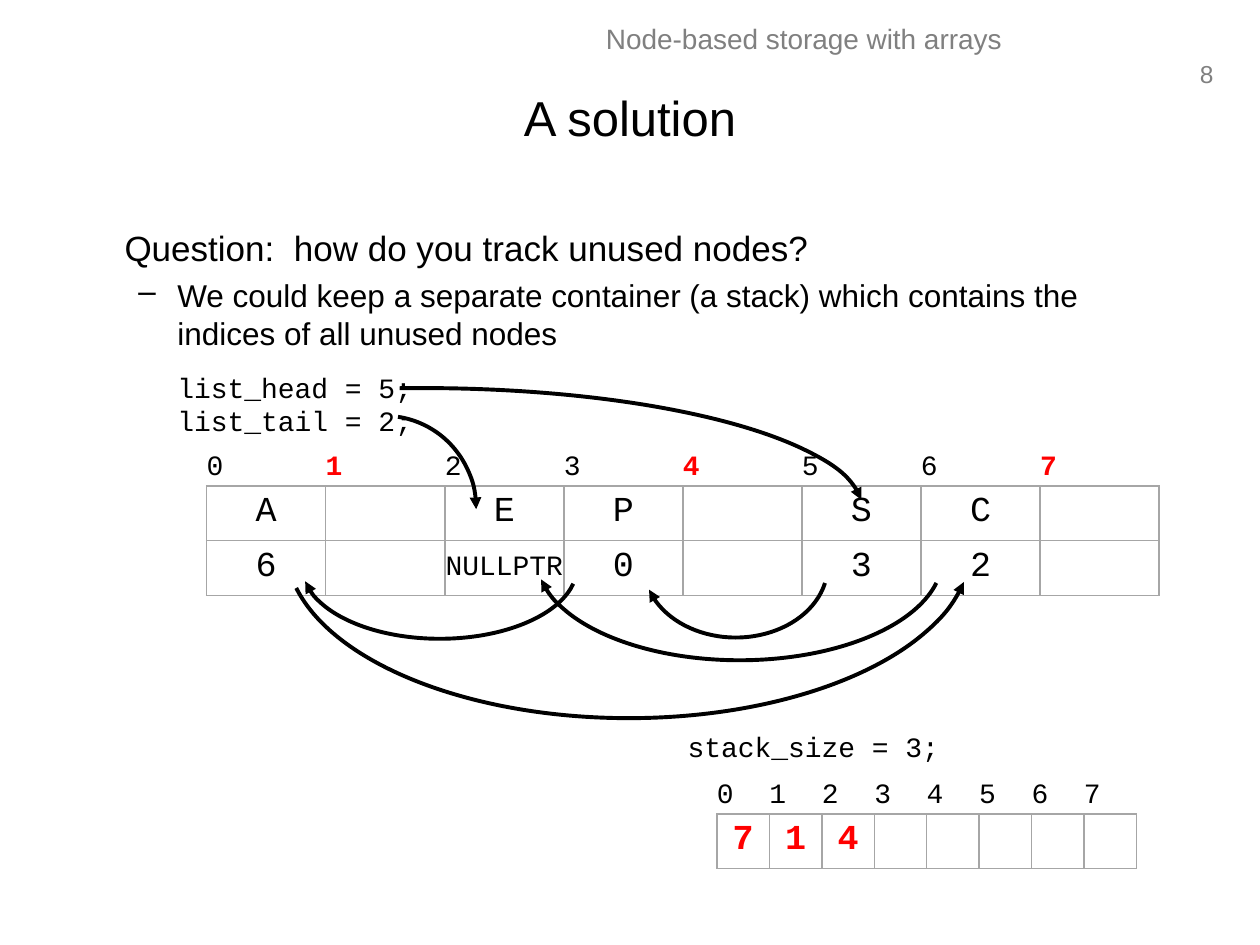
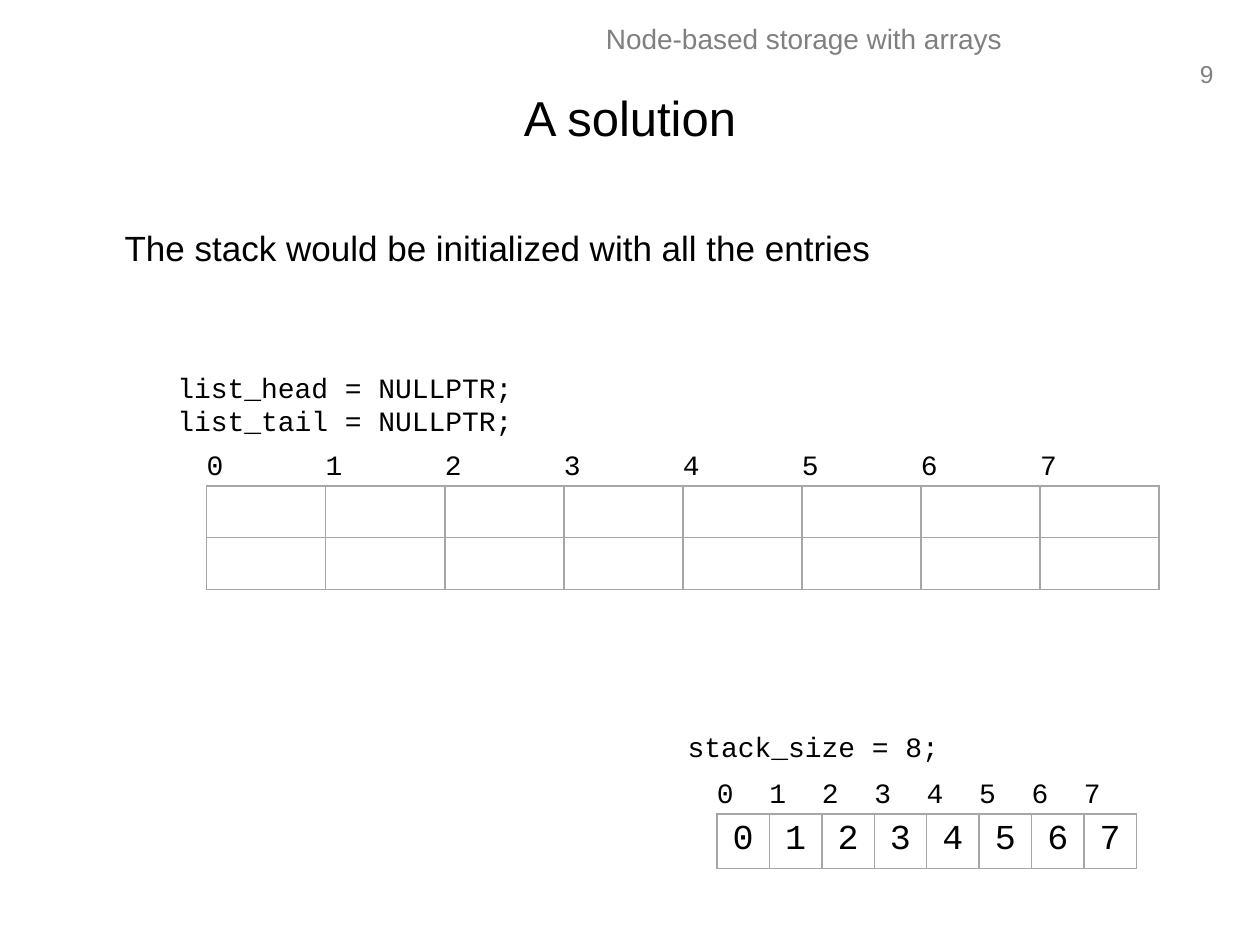
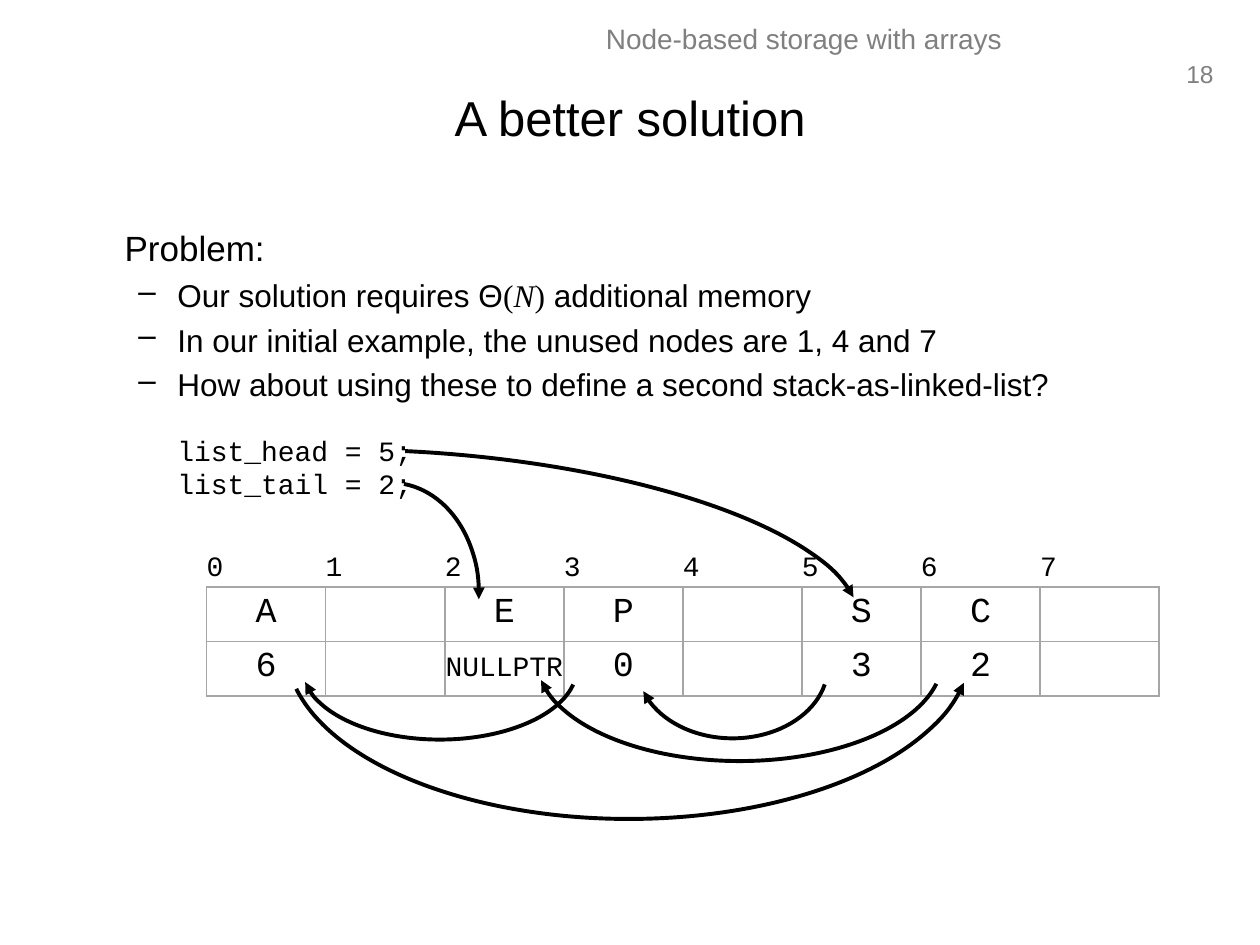
from lxml import etree
from pptx import Presentation
from pptx.dml.color import RGBColor
from pptx.enum.shapes import MSO_SHAPE
from pptx.enum.text import MSO_ANCHOR, PP_ALIGN
from pptx.oxml.ns import qn
from pptx.util import Inches, Pt

ARC = MSO_SHAPE.ARC
MIDDLE = MSO_ANCHOR.MIDDLE
TOP = MSO_ANCHOR.TOP
LEFT, CENTER, RIGHT = PP_ALIGN.LEFT, PP_ALIGN.CENTER, PP_ALIGN.RIGHT

SANS, MONO, SERIF = "Arial", "Courier New", "Times New Roman"
BLACK, GRAY, RED, RULE = "000000", "808080", "FF0000", "A6A6A6"
BARE_STYLE = "{2D5ABB26-0587-4C30-8999-92F81FD0307C}"
SIDES = ("a:lnL", "a:lnR", "a:lnT", "a:lnB")
COUNT = 8
INDEX = [str(n) for n in range(COUNT)]
NODES = [
    ["A", "", "E", "P", "", "S", "C", ""],
    ["6", "", "NULLPTR", "0", "", "3", "2", ""],
]
EMPTY = [""] * COUNT


def paint(hue):
    return RGBColor.from_string(hue)


def write(para, text, font=SANS, size=18, hue=BLACK, align=LEFT, bold=False, slant=False):
    para.alignment = align
    run = para.add_run()
    run.text = text
    run.font.name = font
    run.font.size = Pt(size)
    run.font.bold = bold
    run.font.italic = slant
    run.font.color.rgb = paint(hue)


def add_box(slide, left, top, width, height):
    frame = slide.shapes.add_textbox(
        Inches(left), Inches(top), Inches(width), Inches(height)
    ).text_frame
    frame.word_wrap = True
    return frame


def next_para(frame, first):
    return frame.paragraphs[0] if first else frame.add_paragraph()


def indent(para, margin, hang=0.0):
    props = para._p.get_or_add_pPr()
    props.set("marL", str(Inches(margin)))
    props.set("indent", str(Inches(-hang)))
    return props


def add_page(deck, title, number):
    slide = deck.slides.add_slide(deck.slide_layouts[5])
    write(add_box(slide, 9.29, 0.42, 0.44, 0.33).paragraphs[0], number,
          size=14, hue=GRAY, align=RIGHT)
    write(add_box(slide, 3.19, 0.12, 6.38, 0.4).paragraphs[0],
          "Node-based storage with arrays", size=16, hue=GRAY, align=CENTER)
    head = slide.shapes.title
    head.left, head.top = Inches(0.5), Inches(0.3)
    head.width, head.height = Inches(9), Inches(1.25)
    head.text_frame.vertical_anchor = MIDDLE
    write(head.text_frame.paragraphs[0], title, size=28, align=CENTER)
    return slide


def add_body(slide, lead, points=()):
    frame = add_box(slide, 0.5, 1.75, 9, 4.95)
    first = frame.paragraphs[0]
    indent(first, 0.39)
    write(first, lead, size=20)
    for point in points:
        para = frame.add_paragraph()
        props = indent(para, 0.81, 0.31)
        etree.SubElement(props, qn("a:buChar")).set("char", "–")
        para.space_before = Pt(4)
        for text, style in point:
            write(para, text, **style)


def add_code(slide, left, top, width, lines):
    frame = add_box(slide, left, top, width, 0.1 + 0.27 * len(lines))
    for row, line in enumerate(lines):
        write(next_para(frame, row == 0), line, font=MONO, size=16)


def edge(cell, sides):
    props = cell._tc.get_or_add_tcPr()
    for side in sides:
        line = etree.SubElement(props, qn(side), w=str(Pt(1)))
        fill = etree.SubElement(line, qn("a:solidFill"))
        etree.SubElement(fill, qn("a:srgbClr"), val=RULE)


def fill_cell(cell, text, tight=False, **style):
    edge(cell, SIDES[3:] if style["align"] == LEFT else SIDES)
    cell.fill.background()
    if tight:
        cell.margin_left = cell.margin_right = 0
        cell.margin_top = cell.margin_bottom = 0
    if text:
        write(cell.text_frame.paragraphs[0], text, font=MONO, **style)


def add_grid(slide, left, top, width, heights, rows, free=(), hot=False):
    table = slide.shapes.add_table(
        len(heights), COUNT, Inches(left), Inches(top), Inches(width), Inches(sum(heights))
    ).table
    table.first_row = table.horz_banding = False
    table._tbl.tblPr.find(qn("a:tableStyleId")).text = BARE_STYLE
    for row, height in zip(table.rows, heights):
        row.height = Inches(height)
    for col in range(COUNT):
        table.columns[col].width = Inches(width / COUNT)
        mark = INDEX[col] in free
        fill_cell(table.cell(0, col), INDEX[col], tight=True, size=16, align=LEFT,
                  hue=RED if mark else BLACK, bold=mark)
        for row, values in enumerate(rows, 1):
            cell, text = table.cell(row, col), values[col]
            wide = len(text) > 1
            cell.vertical_anchor = MIDDLE if wide else TOP
            fill_cell(cell, text, tight=wide, size=16 if wide else 20, align=CENTER,
                      hue=RED if hot else BLACK, bold=hot)


def add_nodes(slide, top, rows, free=()):
    add_grid(slide, 1.64, top, 7.56, (0.25, 0.41, 0.41), rows, free)


def add_stack(slide, values, hot=False):
    size = sum(map(bool, values))
    add_code(slide, 5.36, 5.74, 2.39, [f"stack_size = {size};"])
    add_grid(slide, 5.69, 6.19, 3.33, (0.27, 0.43), [values], hot=hot)


def add_arc(slide, box, start, end, turn=0, tip="a:tailEnd"):
    arc = slide.shapes.add_shape(ARC, *map(Inches, box))
    arc.adjustments[0], arc.adjustments[1] = start, end
    arc.rotation = turn
    arc.shadow.inherit = False
    arc.fill.background()
    arc.line.color.rgb = paint(BLACK)
    arc.line.width = Pt(2.25)
    etree.SubElement(arc.line._get_or_add_ln(), qn(tip), type="triangle")


def add_links(slide, top, left, width):
    add_arc(slide, (2.4, top + 0.34, 2.18, 1.14), 4.3, 104.34)
    add_arc(slide, (left, top + 0.33, width, 1.14), 6.59, 98.74)
    add_arc(slide, (2.27, top - 0.62, 5.44, 2.73), 3.66, 103.7, tip="a:headEnd")
    add_arc(slide, (4.26, top + 0.03, 3.22, 1.62), 4.3, 104.34)


def add_ends(slide, head, tail, stop, turn):
    add_arc(slide, head, 155.63, stop, turn)
    add_arc(slide, tail, 164.1, 213.06, 5)


def main():
    deck = Presentation()
    deck.slide_width, deck.slide_height = Inches(10), Inches(7.5)
    ends = ["list_head = 5;", "list_tail = 2;"]

    slide = add_page(deck, "A solution", "8")
    add_body(slide, "Question:  how do you track unused nodes?", [
        [("We could keep a separate container (a stack) which contains the "
          "indices of all unused nodes", {})],
    ])
    add_nodes(slide, 3.59, NODES, free=("1", "4", "7"))
    add_code(slide, 1.31, 2.89, 2.39, ends)
    add_stack(slide, ["7", "1", "4"] + EMPTY[3:], hot=True)
    add_links(slide, 3.59, 5.11, 1.46)
    add_ends(slide, (-0.14, 3.08, 6.99, 1.95), (2.32, 3.3, 1.46, 1.48), 215.13, 0)

    slide = add_page(deck, "A solution", "9")
    add_body(slide, "The stack would be initialized with all the entries")
    add_nodes(slide, 3.59, [EMPTY, EMPTY])
    add_code(slide, 1.31, 2.89, 3.47, ["list_head = NULLPTR;", "list_tail = NULLPTR;"])
    add_stack(slide, INDEX)

    slide = add_page(deck, "A better solution", "18")
    math = {"font": SERIF}
    add_body(slide, "Problem:", [
        [("Our solution requires Θ", {}), ("(", math), ("N", {"font": SERIF, "slant": True}),
         (")", math), (" additional memory", {})],
        [("In our initial example, the unused nodes are 1, 4 and 7", {})],
        [("How about using these to define a second stack-as-linked-list?", {})],
    ])
    add_nodes(slide, 4.39, NODES)
    add_code(slide, 1.31, 3.39, 2.39, ends)
    add_links(slide, 4.39, 5.06, 1.51)
    add_ends(slide, (-0.13, 3.59, 6.96, 2.26), (2.34, 3.83, 1.46, 1.85), 213.87, 3.9)

    deck.save("out.pptx")


if __name__ == "__main__":
    main()
